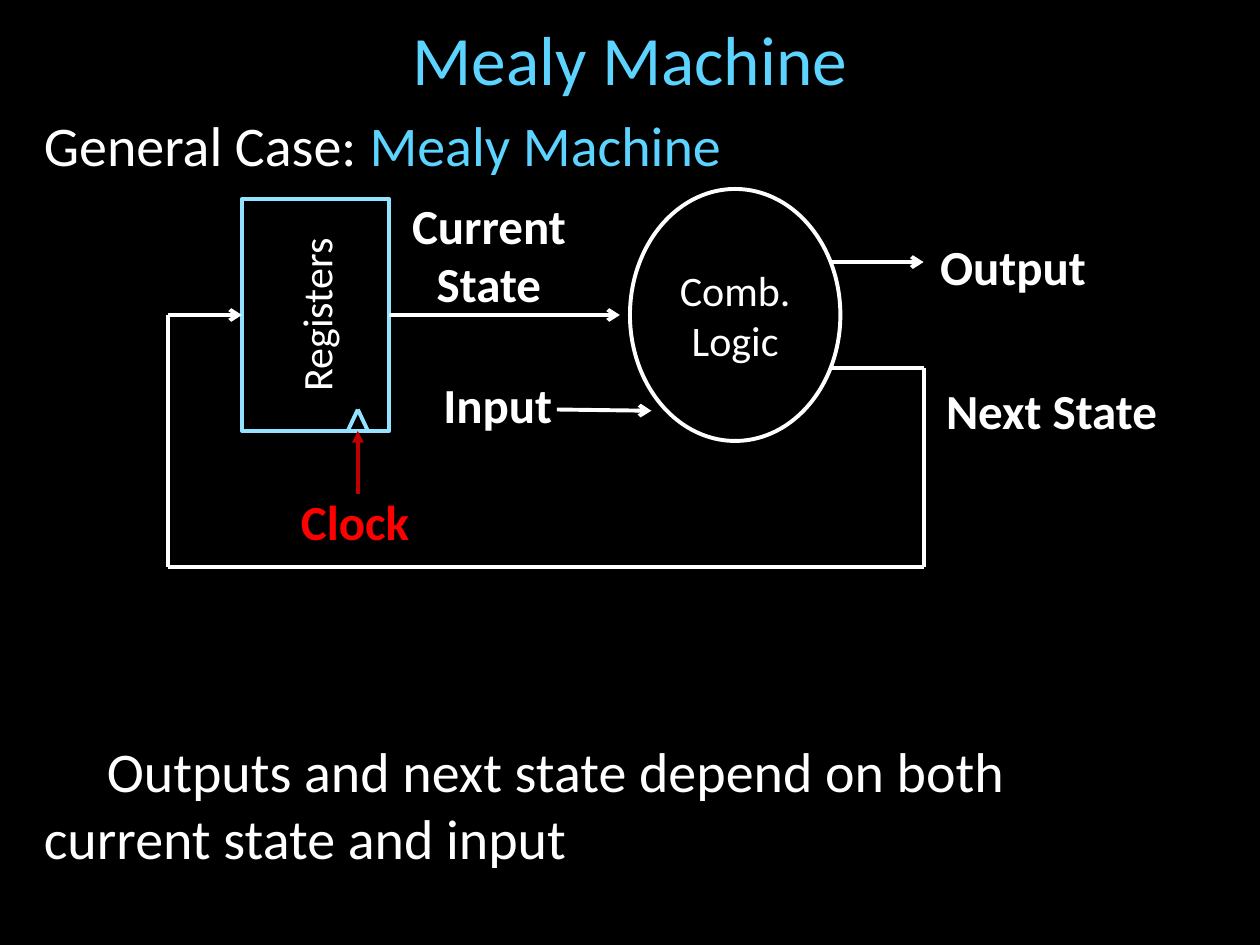
from dataclasses import dataclass
from typing import Any, NamedTuple

import pptx
import pptx.dml.color
import pptx.enum.shapes
import pptx.enum.text
import pptx.oxml
import pptx.oxml.ns
import pptx.util

Inches = pptx.util.Inches
Pt = pptx.util.Pt
Align = pptx.enum.text.PP_ALIGN
Anchor = pptx.enum.text.MSO_ANCHOR
Kind = pptx.enum.shapes.MSO_SHAPE


@dataclass(frozen=True)
class Theme:
    font: str = "Calibri"
    back: str = "000000"
    white: str = "FFFFFF"
    sky: str = "5DD4FF"
    pale: str = "93E2FF"
    red: str = "FF0000"
    dark: str = "C00000"
    title: float = 39.6
    body: float = 32
    label: float = 28
    node: float = 24
    wire: float = 2.25


T = Theme()


class Box(NamedTuple):
    left: float
    top: float
    width: float
    height: float


class Span(NamedTuple):
    text: str
    color: str = T.white


class Label(NamedTuple):
    span: Span
    box: Box
    align: Any = Align.LEFT


class Node(NamedTuple):
    text: str
    kind: Any
    box: Box
    color: str
    turn: str = "horz"


class Wire(NamedTuple):
    start: tuple[float, float]
    end: tuple[float, float]
    color: str = T.white
    head: str = ""


def rgb(code: str) -> Any:
    return pptx.dml.color.RGBColor.from_string(code)


def place(box: Box) -> list[int]:
    return [Inches(n) for n in box]


def apply(item: Any, form: dict[str, Any]) -> None:
    for name, value in form.items():
        setattr(item, name, value)


def write(para: Any, spans: list[Span], size: float, bold: bool = False) -> None:
    """Add coloured runs; a newline in a span becomes a line break."""
    for span in spans:
        for i, line in enumerate(span.text.split("\n")):
            if i:
                para.add_line_break()
            run = para.add_run()
            run.text = line
            apply(run.font, {"name": T.font, "size": Pt(size), "bold": bold})
            run.font.color.rgb = rgb(span.color)


def frame(slide: Any, box: Box, anchor: Any = Anchor.TOP) -> Any:
    text = slide.shapes.add_textbox(*place(box)).text_frame
    apply(text, {"word_wrap": True, "vertical_anchor": anchor})
    return text


def add_label(slide: Any, label: Label) -> None:
    para = frame(slide, label.box).paragraphs[0]
    para.alignment = label.align
    write(para, [label.span], T.label, True)


def add_node(slide: Any, node: Node) -> Any:
    shape = slide.shapes.add_shape(node.kind, *place(node.box))
    shape.shadow.inherit = False
    shape.fill.background()
    shape.line.color.rgb = rgb(node.color)
    shape.line.width = Pt(T.wire)
    text = shape.text_frame
    apply(text, {"word_wrap": True, "vertical_anchor": Anchor.MIDDLE})
    text._txBody.bodyPr.set("vert", node.turn)
    para = text.paragraphs[0]
    para.alignment = Align.CENTER
    write(para, [Span(node.text)], T.node)
    return shape


def add_wire(slide: Any, wire: Wire) -> Any:
    ends = [Inches(n) for n in wire.start + wire.end]
    line = slide.shapes.add_connector(
        pptx.enum.shapes.MSO_CONNECTOR.STRAIGHT, *ends)
    line.line.color.rgb = rgb(wire.color)
    line.line.width = Pt(T.wire)
    if wire.head:
        tail = pptx.oxml.parse_xml(
            f'<a:tailEnd {pptx.oxml.ns.nsdecls("a")} type="{wire.head}"/>')
        line.line._get_or_add_ln().append(tail)
    line._element.spPr.append(pptx.oxml.parse_xml(
        f'<a:effectLst {pptx.oxml.ns.nsdecls("a")}/>'))
    return line


def add_text(slide: Any) -> None:
    title = frame(slide, Box(0.25, 0.17, 9.5, 0.58), Anchor.MIDDLE)
    title.paragraphs[0].alignment = Align.CENTER
    write(title.paragraphs[0], [Span("Mealy Machine", T.sky)], T.title)

    body = frame(slide, Box(0.25, 0.83, 9.5, 6.08))
    write(body.paragraphs[0],
          [Span("General Case: "), Span("Mealy Machine", T.sky)], T.body)
    note = body.add_paragraph()
    note.space_before = Pt(319)
    write(note, [Span("\tOutputs and next state depend on both\n"
                      "current state and input")], T.body)


def add_chart(slide: Any) -> None:
    """Draw the state machine: nodes, wires and labels."""
    west, east, mid, low = 1.33, 7.33, 2.5, 4.5
    out, back = 2.08, 2.92
    rim = 6.58
    tick, base = 2.84, 3.42

    regs = add_node(slide, Node("Registers", Kind.RECTANGLE,
                                Box(1.92, 1.58, 1.17, 1.84), T.pale, "vert270"))
    add_node(slide, Node("Comb.\nLogic", Kind.OVAL,
                         Box(5, 1.5, 1.67, 2), T.white))

    load = add_wire(slide, Wire((west, mid), (1.92, mid), head="arrow"))
    load.end_connect(regs, 1)
    state = add_wire(slide, Wire((3.09, mid), (4.92, mid), head="arrow"))
    state.begin_connect(regs, 3)

    for wire in (
        Wire((rim, out), (east, out), head="arrow"),
        Wire((4.42, 3.25), (5.17, 3.26), head="arrow"),
        Wire((rim, back), (east, back)),
        Wire((east, back), (east, low)),
        Wire((east, low), (west, low)),
        Wire((west, low), (west, mid)),
        Wire((tick - 0.08, base), (tick, 3.25), T.pale),
        Wire((tick + 0.08, base), (tick, 3.25), T.pale),
        Wire((tick, 3.92), (tick, base), T.dark, "triangle"),
    ):
        add_wire(slide, wire)

    for label in (
        Label(Span("Current State"), Box(2.92, 1.5, 1.92, 1.04), Align.CENTER),
        Label(Span("Input"), Box(3.42, 2.92, 1.25, 0.57)),
        Label(Span("Output"), Box(7, 1.83, 2.08, 0.57), Align.CENTER),
        Label(Span("Next State"), Box(7.41, 2.97, 2.08, 0.57)),
        Label(Span("Clock", T.red), Box(2.29, 3.85, 1.25, 0.57)),
    ):
        add_label(slide, label)


def main() -> None:
    deck = pptx.Presentation()
    apply(deck, {"slide_width": Inches(10), "slide_height": Inches(7.5)})
    slide = deck.slides.add_slide(deck.slide_layouts[6])
    fill = slide.background.fill
    fill.solid()
    fill.fore_color.rgb = rgb(T.back)
    add_text(slide)
    add_chart(slide)
    deck.save("out.pptx")


if __name__ == "__main__":
    main()
